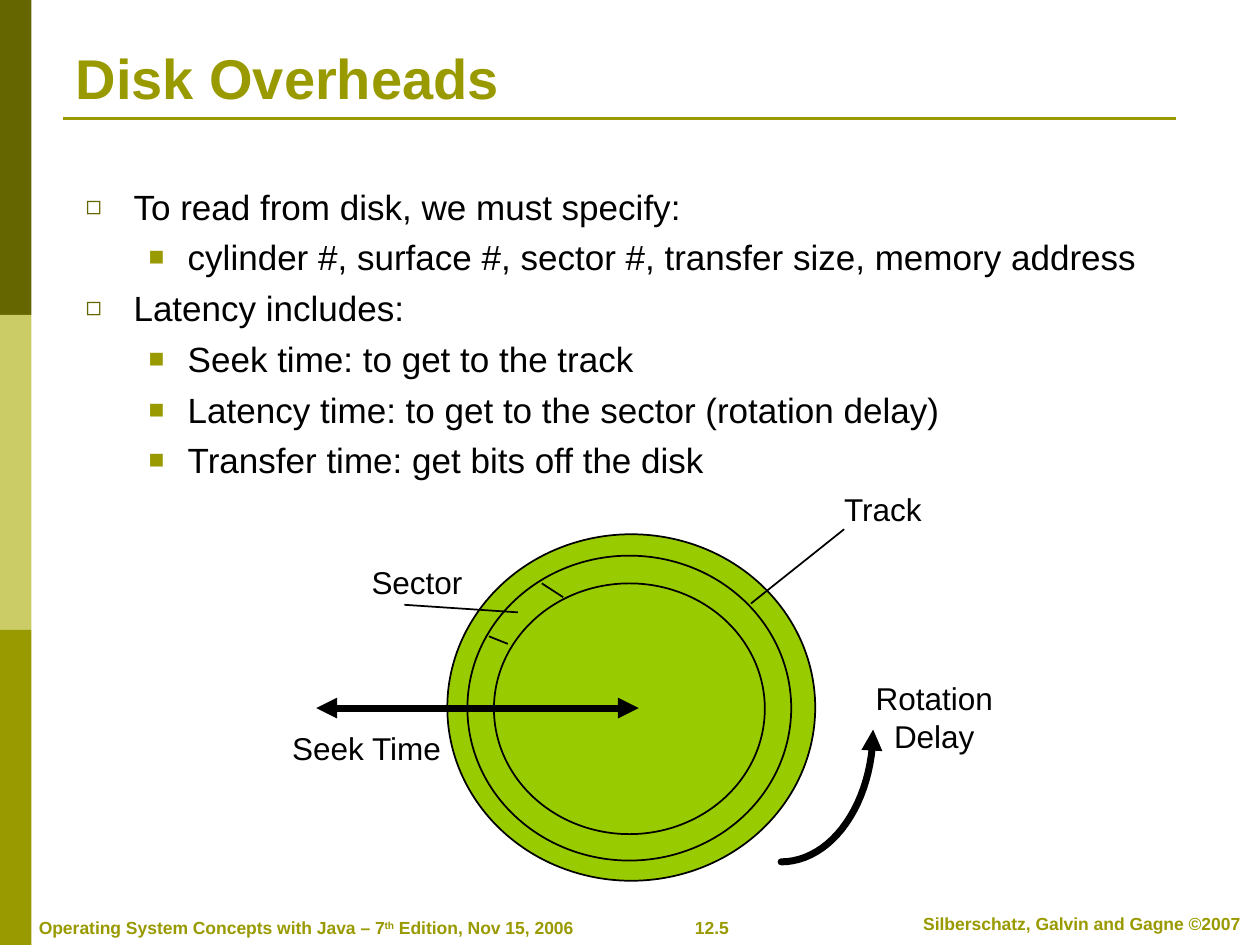
"""Build the Disk Overheads slide with its labelled disk diagram."""
from math import cos, pi, sin

from pptx import Presentation
from pptx.dml.color import RGBColor
from pptx.enum.shapes import MSO_CONNECTOR, MSO_SHAPE
from pptx.enum.text import MSO_ANCHOR, MSO_AUTO_SIZE, PP_ALIGN
from pptx.oxml.ns import qn
from pptx.util import Inches, Pt

RECTANGLE, ELLIPSE = MSO_SHAPE.RECTANGLE, MSO_SHAPE.OVAL
STRAIGHT = MSO_CONNECTOR.STRAIGHT
LEFT, CENTER = PP_ALIGN.LEFT, PP_ALIGN.CENTER
TOP, BOTTOM = MSO_ANCHOR.TOP, MSO_ANCHOR.BOTTOM
NO_FIT, GROW = MSO_AUTO_SIZE.NONE, MSO_AUTO_SIZE.SHAPE_TO_FIT_TEXT

OLIVE, DARK_OLIVE, PALE_OLIVE = "999900", "666600", "CCCC66"
GREEN, BLACK = "99CC00", "000000"
TITLE_FORMAT = {"size": Pt(32), "bold": True, "color": OLIVE}
BODY_FORMAT = {"size": Pt(20), "color": BLACK}
LABEL_FORMAT = {"size": Pt(18), "color": BLACK}
FOOTER_FORMAT = {"size": Pt(10), "bold": True, "color": OLIVE}

TITLE = "Disk Overheads"
BULLETS = [
    (0, "To read from disk, we must specify:"),
    (1, "cylinder #, surface #, sector #, transfer size, memory address"),
    (0, "Latency includes:"),
    (1, "Seek time: to get to the track"),
    (1, "Latency time: to get to the sector (rotation delay)"),
    (1, "Transfer time: get bits off the disk"),
]
BULLET_STYLES = [("◻", DARK_OLIVE, 0.38, 0.38), ("■", OLIVE, 0.81, 0.31)]
SIDE_BARS = [DARK_OLIVE, PALE_OLIVE, OLIVE]
FOOTERS = [
    ([("12.5", 0)], (5.12, 7.23, 1.06, 0.27), CENTER, False),
    ([("Silberschatz, Galvin and Gagne ©2007", 0)], (7.1, 7.2, 2.97, 0.27), CENTER, True),
    ([("Operating System Concepts with Java – 7", 0), ("th", 30000),
      (" Edition, Nov 15, 2006", 0)], (0.21, 7.23, 4.44, 0.27), LEFT, False),
]
DISK_RINGS = [(3.55, 4.24, 2.92, 2.75), (3.71, 4.41, 2.57, 2.42), (3.92, 4.63, 2.15, 1.99)]
THIN_LINES = {
    "track pointer": (5.96, 4.79, 6.7, 4.2),
    "sector upper edge": (4.3, 4.63, 4.47, 4.74),
    "sector lower edge": (3.88, 5.05, 4.03, 5.11),
    "sector pointer": (3.21, 4.8, 4.11, 4.86),
}
SEEK_ARROW = (5.07, 5.62, 2.51, 5.62)
LABELS = [
    (["Track"], (6.6, 3.84, 0.82, 0.4), LEFT),
    (["Sector"], (2.85, 4.42, 0.92, 0.4), LEFT),
    (["Seek Time"], (2.22, 5.74, 1.39, 0.4), LEFT),
    (["Rotation", "Delay"], (6.85, 5.34, 1.13, 0.7), CENTER),
]
ROTATION_CENTER, ROTATION_RADII, ROTATION_STEPS = (6.2, 5.79), (0.73, 1.05), 24


def inches(values):
    return [Inches(value) for value in values]


def paint(color_format, color):
    color_format.rgb = RGBColor.from_string(color)


def add_run(paragraph, text, values, baseline=0):
    run = paragraph.add_run()
    run.text = text
    run.font.name = "Arial"
    for name, value in values.items():
        if name == "color":
            paint(run.font.color, value)
        else:
            setattr(run.font, name, value)
    if baseline:
        run.font._element.set("baseline", str(baseline))


def add_child(parent, tag, **attributes):
    child = parent.makeelement(qn(tag), attributes)
    parent.append(child)
    return child


def draw_line(line, color, width, ends=()):
    paint_target = line.fill
    paint_target.solid()
    paint(paint_target.fore_color, color)
    line.width = Pt(width)
    for end in ends:
        add_child(line._get_or_add_ln(), end, type="triangle")


def add_preset(slide, preset, box, fill, outline=None):
    shape = slide.shapes.add_shape(preset, *inches(box))
    shape.shadow.inherit = False
    shape.fill.solid()
    paint(shape.fill.fore_color, fill)
    if outline:
        draw_line(shape.line, outline, 1)
    else:
        shape.line.fill.background()


def add_line(slide, points, color, width, ends=()):
    connector = slide.shapes.add_connector(STRAIGHT, *inches(points))
    draw_line(connector.line, color, width, ends)
    add_child(connector._element.spPr, "a:effectLst")


def add_text(slide, paragraphs, box, alignment, values, wrap=False, space=0):
    frame = slide.shapes.add_textbox(*inches(box)).text_frame
    frame.word_wrap = wrap
    frame.auto_size = GROW
    for index, runs in enumerate(paragraphs):
        paragraph = frame.add_paragraph() if index else frame.paragraphs[0]
        paragraph.alignment = alignment
        paragraph.space_before = Pt(space)
        for text, baseline in runs:
            add_run(paragraph, text, values, baseline)


def place(placeholder, box, anchor):
    placeholder.left, placeholder.top, placeholder.width, placeholder.height = inches(box)
    frame = placeholder.text_frame
    frame.auto_size = NO_FIT
    frame.vertical_anchor = anchor
    return frame


def set_bullet(paragraph, level):
    character, color, margin, hanging = BULLET_STYLES[level]
    paragraph.level = level
    properties = paragraph._p.get_or_add_pPr()
    properties.set("marL", str(Inches(margin)))
    properties.set("indent", str(-Inches(hanging)))
    add_child(add_child(properties, "a:buClr"), "a:srgbClr", val=color)
    add_child(properties, "a:buSzPct", val="75000")
    add_child(properties, "a:buFont", typeface="Arial")
    add_child(properties, "a:buChar", char=character)


def add_placeholders(slide):
    title = place(slide.shapes.title, (0.5, 0.3, 9, 0.63), BOTTOM).paragraphs[0]
    title.alignment = LEFT
    add_run(title, TITLE, TITLE_FORMAT)
    body = place(slide.placeholders[1], (0.58, 1.42, 9, 4.95), TOP)
    for index, (level, text) in enumerate(BULLETS):
        paragraph = body.add_paragraph() if index else body.paragraphs[0]
        paragraph.space_before = Pt(5)
        set_bullet(paragraph, level)
        add_run(paragraph, text, BODY_FORMAT)


def add_rotation_arrow(slide):
    angles = [pi / 2 * step / ROTATION_STEPS for step in range(ROTATION_STEPS + 1)]
    (center_x, center_y), (radius_x, radius_y) = ROTATION_CENTER, ROTATION_RADII
    points = [inches((center_x + radius_x * cos(angle), center_y + radius_y * sin(angle)))
              for angle in angles]
    builder = slide.shapes.build_freeform(*points[0])
    builder.add_line_segments(points[1:], close=False)
    arrow = builder.convert_to_shape()
    arrow.shadow.inherit = False
    arrow.fill.background()
    draw_line(arrow.line, BLACK, 4, ["a:headEnd"])
    arrow.line._get_or_add_ln().set("cap", "rnd")


def main():
    presentation = Presentation()
    presentation.slide_width, presentation.slide_height = inches((10, 7.5))
    slide = presentation.slides.add_slide(presentation.slide_layouts[1])
    bar_height = 7.5 / len(SIDE_BARS)
    for index, color in enumerate(SIDE_BARS):
        add_preset(slide, RECTANGLE, (0, index * bar_height, 0.25, bar_height), color)
    add_line(slide, (0.5, 0.94, 9.33, 0.94), OLIVE, 1.5)
    for runs, box, alignment, wrap in FOOTERS:
        add_text(slide, [runs], box, alignment, FOOTER_FORMAT, wrap, 6.2)
    add_placeholders(slide)
    for ring in DISK_RINGS:
        add_preset(slide, ELLIPSE, ring, GREEN, BLACK)
    for points in THIN_LINES.values():
        add_line(slide, points, BLACK, 1)
    add_line(slide, SEEK_ARROW, BLACK, 4, ["a:headEnd", "a:tailEnd"])
    add_rotation_arrow(slide)
    for lines, box, alignment in LABELS:
        add_text(slide, [[(line, 0)] for line in lines], box, alignment, LABEL_FORMAT)
    presentation.save("out.pptx")


if __name__ == "__main__":
    main()
